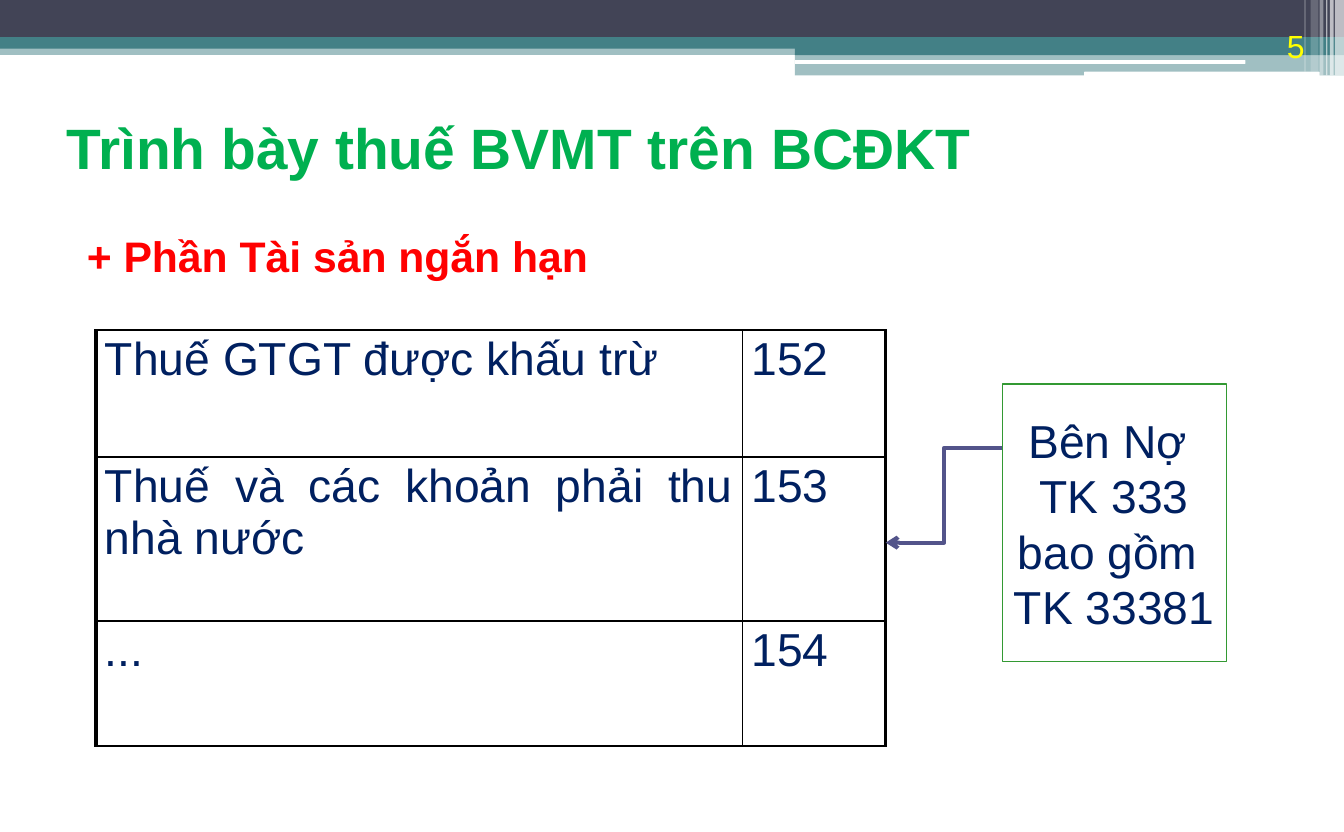
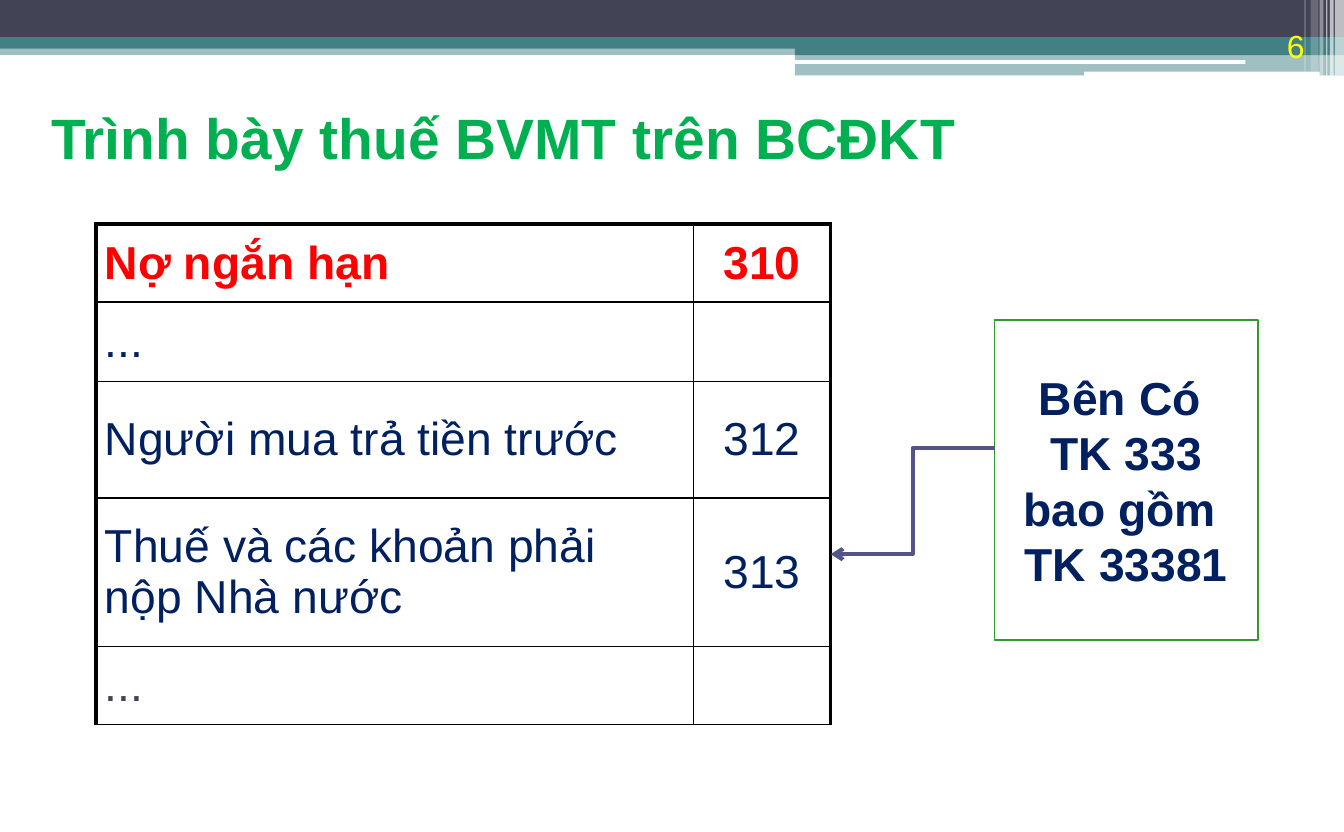
from lxml.etree import SubElement
from pptx import Presentation
from pptx.dml.color import RGBColor as Rgb
from pptx.enum.shapes import MSO_CONNECTOR as Connector, MSO_SHAPE as Preset
from pptx.enum.text import MSO_ANCHOR as Anchor, MSO_AUTO_SIZE as AutoSize, PP_ALIGN as Align
from pptx.oxml.ns import qn
from pptx.util import Inches, Pt

FONT = "Arial"
COLORS = {
    "slate": "424456", "teal": "438086", "white": "FFFFFF", "black": "000000",
    "yellow": "FFFF00", "green": "00B050", "red": "FF0000", "navy": "002060",
    "frame": "339933", "arrow": "53548A",
}
TITLE_STYLE = {"size": 32, "color": "green", "bold": True}
SECTION_STYLE = {"size": 24, "color": "red", "bold": True}
NUMBER_STYLE = {"size": 18, "color": "yellow"}
BODY_STYLE = {"size": 26, "color": "navy"}
TITLE = "Trình bày thuế BVMT trên BCĐKT"
BANDS = [
    (0, 0.35, 10.5, 0.08, "teal", 50),
    (0, 0, 10.5, 0.29, "slate", 100),
    (0, 0.29, 10.5, 0.09, "teal", 100),
    (6.21, 0.34, 4.29, 0.09, "teal", 100),
    (6.21, 0.42, 4.29, 0.17, "teal", 50),
]
GROOVES = [(6.21, 0.47, 3.52, 0.03, "white", 100), (8.47, 0.56, 1.84, 0.04, "white", 100)]
STRIPES = [
    (10.43, 0, 0.07, 0.59, "white", 65),
    (10.39, 0, 0.03, 0.59, "white", 65),
    (10.36, 0, 0.01, 0.59, "white", 60),
    (10.31, 0, 0.03, 0.59, "white", 40),
    (10.24, 0, 0.06, 0.56, "white", 20),
    (10.19, 0, 0.01, 0.56, "white", 30),
]


def color(name):
    """Return a named colour."""
    return Rgb.from_string(COLORS[name])


def write(frame, lines, style, align=Align.LEFT, anchor=Anchor.TOP, wrap=True):
    """Fill a text frame with one paragraph per line."""
    for name, value in {"word_wrap": wrap, "vertical_anchor": anchor}.items():
        setattr(frame, name, value)
    for index, line in enumerate(lines):
        para = frame.paragraphs[0] if index == 0 else frame.add_paragraph()
        para.alignment = align
        span = para.add_run()
        span.text = line
        values = {"name": FONT, "size": Pt(style["size"]), "bold": style.get("bold", False)}
        for name, value in values.items():
            setattr(span.font, name, value)
        span.font.color.rgb = color(style["color"])


def add_text(page, box, text, style, **options):
    """Place a one-line text box."""
    shape = page.shapes.add_textbox(*map(Inches, box))
    write(shape.text_frame, [text], style, **options)


def add_bar(page, preset, left, top, width, height, name, opacity):
    """Place one bar of the header decoration."""
    bar = page.shapes.add_shape(preset, *map(Inches, (left, top, width, height)))
    bar.shadow.inherit = False
    bar.fill.solid()
    bar.fill.fore_color.rgb = color(name)
    bar.line.fill.background()
    if opacity < 100:
        tint = bar.fill._xPr.find(qn("a:solidFill"))[0]
        SubElement(tint, qn("a:alpha"), val=str(opacity * 1000))


def add_header(page, number):
    """Draw the header decoration and the page number."""
    for preset, bars in ((Preset.RECTANGLE, BANDS), (Preset.ROUNDED_RECTANGLE, GROOVES),
                         (Preset.RECTANGLE, STRIPES)):
        for bar in bars:
            add_bar(page, preset, *bar)
    add_text(page, (9.41, 0.21, 0.88, 0.35), str(number), NUMBER_STYLE,
             align=Align.RIGHT, anchor=Anchor.BOTTOM)


def set_title(page, box):
    """Move the title placeholder to its box and write the title."""
    title = page.shapes.title
    for name, value in zip(("left", "top", "width", "height"), box):
        setattr(title, name, Inches(value))
    write(title.text_frame, [TITLE], TITLE_STYLE)
    title.text_frame.auto_size = AutoSize.NONE


def set_borders(cell, widths):
    """Draw black cell borders, given left, right, top and bottom widths."""
    properties = cell._tc.get_or_add_tcPr()
    for side, width in zip("LRTB", widths):
        line = SubElement(properties, qn(f"a:ln{side}"), w=str(Pt(width)))
        fill = SubElement(line, qn("a:solidFill"))
        SubElement(fill, qn("a:srgbClr"), val=COLORS["black"])


def add_ledger(page, left, top, widths, heights, rows, aligns, anchor, top_border):
    """Place a balance-sheet table of item names and codes."""
    box = map(Inches, (left, top, sum(widths), sum(heights)))
    table = page.shapes.add_table(len(rows), len(widths), *box).table
    table.first_row = table.horz_banding = False
    for column, width in zip(table.columns, widths):
        column.width = Inches(width)
    for row, height in zip(table.rows, heights):
        row.height = Inches(height)
    margins = {"margin_left": 0.07, "margin_right": 0.07, "margin_top": 0.03, "margin_bottom": 0.03}
    last = len(widths) - 1
    for r, (*texts, changes) in enumerate(rows):
        for c, text in enumerate(texts):
            cell = table.cell(r, c)
            set_borders(cell, (1 if c else 2.25, 2.25 if c == last else 1,
                               1 if r else top_border, 1))
            cell.fill.solid()
            cell.fill.fore_color.rgb = color("white")
            for name, value in margins.items():
                setattr(cell, name, Inches(value))
            cell.vertical_anchor = anchor
            if text:
                write(cell.text_frame, [text], BODY_STYLE | changes, aligns[c], anchor)


def add_callout(page, box, side, target, bold):
    """Place a framed note with an elbow arrow to a table row."""
    note = page.shapes.add_shape(Preset.RECTANGLE, *map(Inches, box))
    note.shadow.inherit = False
    note.fill.background()
    note.line.color.rgb = color("frame")
    note.line.width = Pt(0.75)
    write(note.text_frame, [f"Bên {side} ", "TK 333", "bao gồm ", "TK 33381"],
          BODY_STYLE | {"bold": bold}, Align.CENTER, Anchor.MIDDLE, wrap=False)
    arrow = page.shapes.add_connector(Connector.ELBOW, *map(Inches, (box[0], 3.5, *target)))
    arrow.line.color.rgb = color("arrow")
    arrow.line.width = Pt(2.25)
    SubElement(arrow.line._get_or_add_ln(), qn("a:tailEnd"), type="arrow")
    SubElement(arrow._element.spPr, qn("a:effectLst"))


def build_assets(page):
    """Build the current assets slide."""
    add_header(page, 5)
    rows = [
        ("Thuế GTGT được khấu trừ", "152", {}),
        ("Thuế và các khoản phải thu nhà nước", "153", {}),
        ("...", "154", {}),
    ]
    add_ledger(page, 0.75, 2.58, (5.05, 1.12), (0.99, 1.28, 0.98), rows,
               (Align.JUSTIFY, Align.JUSTIFY), Anchor.TOP, 1)
    add_callout(page, (7.83, 3, 1.75, 2.17), "Nợ", (6.92, 4.24), False)
    set_title(page, (0.42, 0.83, 8.5, 0.75))
    add_text(page, (0.58, 1.75, 5.25, 0.5), "+ Phần Tài sản ngắn hạn", SECTION_STYLE)


def build_liabilities(page):
    """Build the short-term liabilities slide."""
    add_header(page, 6)
    set_title(page, (0.3, 0.75, 9.36, 0.87))
    rows = [
        ("Nợ ngắn hạn", "310", {"color": "red", "bold": True}),
        ("...", "", {}),
        ("Người mua trả tiền trước", "312", {}),
        ("Thuế và các khoản phải nộp Nhà nước", "313", {}),
        ("...", "", {"color": "slate"}),
    ]
    add_ledger(page, 0.75, 1.75, (4.67, 1.07), (0.61, 0.62, 0.91, 1.16, 0.61), rows,
               (Align.LEFT, Align.CENTER), Anchor.MIDDLE, 2.25)
    add_callout(page, (7.77, 2.5, 2.06, 2.5), "Có", (6.49, 4.33), True)


def main():
    """Build and save the deck."""
    deck = Presentation()
    deck.slide_width, deck.slide_height = Inches(10.5), Inches(6.5)
    for build in (build_assets, build_liabilities):
        build(deck.slides.add_slide(deck.slide_layouts[5]))
    deck.save("out.pptx")


if __name__ == "__main__":
    main()
